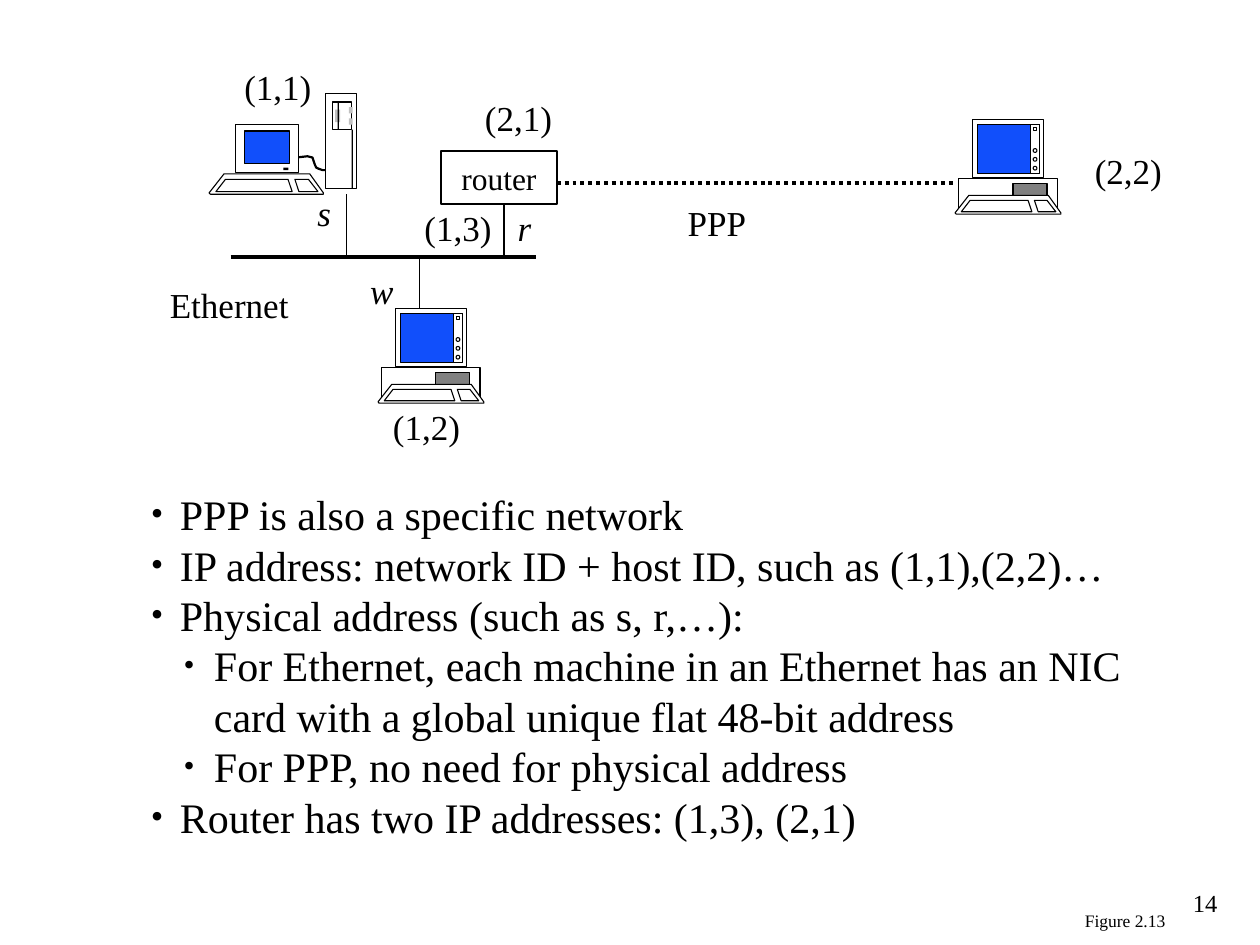
from lxml.etree import SubElement
from pptx import Presentation
from pptx.dml.color import RGBColor
from pptx.enum.dml import MSO_LINE_DASH_STYLE as Dash
from pptx.enum.shapes import MSO_CONNECTOR_TYPE as Link, MSO_SHAPE as Shape
from pptx.enum.text import MSO_ANCHOR as Anchor, PP_ALIGN as Align
from pptx.oxml.ns import qn
from pptx.util import Inches, Pt

COLORS = {"ink": "000000", "paper": "FFFFFF", "screen": "114FFB",
          "drive": "808080", "vent": "C0C0C0"}
FONT = "Times New Roman"


def rgb(name):
    return RGBColor.from_string(COLORS[name])


def write(paragraph, text, size=20, italic=False, align=Align.LEFT):
    paragraph.alignment = align
    paragraph.line_spacing = Pt(size * 1.2)
    run = paragraph.add_run()
    run.text = text
    run.font.name, run.font.size, run.font.italic = FONT, Pt(size), italic
    run.font.color.rgb = rgb("ink")


class NetworkSlide:
    """Draws network diagram elements on one slide in a shared style."""

    def __init__(self, slide):
        self.slide = slide
        self.target = slide.shapes

    def start_group(self):
        self.target = self.slide.shapes.add_group_shape().shapes

    def end_group(self):
        self.target = self.slide.shapes

    def paint(self, shape, fill, outline):
        shape.shadow.inherit = False
        if fill:
            shape.fill.solid()
            shape.fill.fore_color.rgb = rgb(fill)
        else:
            shape.fill.background()
        if outline:
            shape.line.color.rgb = rgb("ink")
            shape.line.width = Pt(outline)
        else:
            shape.line.fill.background()

    def block(self, x, y, width, height, fill="paper", outline=0.62, kind=Shape.RECTANGLE):
        shape = self.target.add_shape(kind, Inches(x), Inches(y), Inches(width), Inches(height))
        self.paint(shape, fill, outline)
        return shape

    def outline(self, points, fill="paper", width=0.62, close=True):
        start, *rest = [(Inches(x), Inches(y)) for x, y in points]
        builder = self.target.build_freeform(*start, scale=1.0)
        builder.add_line_segments(rest, close=close)
        self.paint(builder.convert_to_shape(), fill, width)

    def wire(self, x1, y1, x2, y2, width=1, dash=None):
        wire = self.target.add_connector(Link.STRAIGHT, Inches(x1), Inches(y1),
                                         Inches(x2), Inches(y2))
        wire.line.color.rgb = rgb("ink")
        wire.line.width = Pt(width)
        if dash:
            wire.line.dash_style = dash
        SubElement(wire._element.spPr, qn("a:effectLst"))

    def label(self, text, x, y, width=0.75, height=0.44, wrap=False, **style):
        box = self.target.add_textbox(Inches(x), Inches(y), Inches(width), Inches(height))
        box.text_frame.word_wrap = wrap
        write(box.text_frame.paragraphs[0], text, **style)
        return box

    def router(self, text, x, y, width, height):
        frame = self.block(x, y, width, height, outline=1).text_frame
        frame.word_wrap = False
        frame.vertical_anchor = Anchor.MIDDLE
        write(frame.paragraphs[0], text, size=18, align=Align.CENTER)

    def bullets(self, items, x, y, width, height):
        frame = self.target.add_textbox(Inches(x), Inches(y), Inches(width),
                                        Inches(height)).text_frame
        frame.word_wrap = True
        for number, (level, text) in enumerate(items):
            paragraph = frame.add_paragraph() if number else frame.paragraphs[0]
            write(paragraph, text, size=24)
            paragraph.level = level
            props = paragraph._p.get_or_add_pPr()
            props.set("marL", str(Inches((0.23, 0.5)[level])))
            props.set("indent", str(-Inches(0.24)))
            color = SubElement(props, qn("a:buClr"))
            SubElement(color, qn("a:srgbClr"), val=COLORS["ink"])
            SubElement(props, qn("a:buSzPct"), val=("85000", "75000")[level])
            SubElement(props, qn("a:buFont"), typeface=FONT)
            SubElement(props, qn("a:buChar"), char="•")

    def keyboard(self, x, y, scale=1.0):
        case = [(0.11, 0), (0.74, 0), (0.84, 0.14), (0.84, 0.15), (0.01, 0.15), (0, 0.14)]
        keys = [(0.12, 0.04), (0.58, 0.04), (0.61, 0.13), (0.05, 0.13)]
        keypad = [(0.63, 0.04), (0.73, 0.04), (0.8, 0.13), (0.66, 0.13)]
        for part in (case, keys, keypad):
            self.outline([(x + dx * scale, y + dy * scale) for dx, dy in part])

    def desktop(self, x, y):
        self.start_group()
        self.block(x + 0.03, y + 0.47, 0.78, 0.24)
        self.block(x + 0.46, y + 0.51, 0.27, 0.11, "drive")
        self.keyboard(x, y + 0.6)
        self.block(x + 0.14, y, 0.56, 0.46)
        self.block(x + 0.18, y + 0.04, 0.49, 0.39, "screen")
        self.block(x + 0.6, y + 0.04, 0.07, 0.39)
        self.block(x + 0.62, y + 0.06, 0.03, 0.03)
        for knob in range(3):
            self.block(x + 0.62, y + 0.23 + 0.07 * knob, 0.03, 0.03, kind=Shape.OVAL)
        self.end_group()

    def server(self, x, y):
        self.start_group()
        cable = [(0.69, 0.51), (0.78, 0.5), (0.82, 0.51), (0.84, 0.57), (0.85, 0.59),
                 (0.87, 0.6), (0.9, 0.61), (0.94, 0.61)]
        self.outline([(x + dx, y + dy) for dx, dy in cable], None, 1.25, close=False)
        self.keyboard(x, y + 0.64, 1.08)
        self.block(x + 0.21, y + 0.25, 0.5, 0.38)
        self.block(x + 0.28, y + 0.3, 0.36, 0.26, "screen")
        self.block(x + 0.59, y + 0.59, 0.04, 0.02, "ink", None)
        self.block(x + 0.92, y, 0.25, 0.76)
        self.block(x + 0.98, y + 0.07, 0.15, 0.22)
        self.block(x + 1.13, y + 0.29, 0.01, 0.47, "ink", None)
        self.block(x + 1, y + 0.13, 0.04, 0.1, "vent", None)
        self.block(x + 1.02, y + 0.07, 0.01, 0.22, "ink", None)
        for vent_y in (0.11, 0.2):
            self.block(x + 1.11, y + vent_y, 0.03, 0.05, "vent", None)
        self.end_group()


def main():
    deck = Presentation()
    deck.slide_width, deck.slide_height = Inches(10), Inches(7.5)
    page = NetworkSlide(deck.slides.add_slide(deck.slide_layouts[6]))

    bus_y = 2.04
    page.label("14", 9.08, 7, 0.68, 0.5, wrap=True, size=14, align=Align.RIGHT)
    page.wire(1.83, bus_y, 4.25, bus_y, 2.25)
    page.desktop(3, 2.45)
    page.server(1.66, 0.74)
    page.wire(2.75, 1.54, 2.75, bus_y)
    page.wire(3.33, bus_y, 3.33, 2.45)
    page.router("router", 3.5, 1.2, 0.92, 0.42)
    page.wire(4, 1.62, 4, bus_y)
    page.desktop(7.58, 0.95)
    page.wire(4.42, 1.45, 7.58, 1.45, 2.25, Dash.ROUND_DOT)

    for text, x, y in (("(1,1)", 1.84, 0.47), ("(1,2)", 3.02, 3.17), ("(2,1)", 3.75, 0.72),
                       ("(1,3)", 3.27, 1.59), ("(2,2)", 8.59, 1.14), ("PPP", 5.36, 1.55)):
        page.label(text, x, y)
    for host, x, y in (("s", 2.42, 1.47), ("w", 2.84, 2.09), ("r", 4.01, 1.59)):
        page.label(host, x, y, 0.4, italic=True)
    page.label("Ethernet", 1.25, 2.2, 1.5, wrap=True)
    caption = page.label("Figure 2.13", 8.51, 7.17, 0.84, 0.27, size=10, align=Align.CENTER)
    caption.text_frame.vertical_anchor = Anchor.MIDDLE

    page.bullets([
        (0, "PPP is also a specific network"),
        (0, "IP address: network ID + host ID, such as (1,1),(2,2)…"),
        (0, "Physical address (such as s, r,…):"),
        (1, "For Ethernet, each machine in an Ethernet has an NIC "
            "card with a global unique flat 48-bit address"),
        (1, "For PPP, no need for physical address"),
        (0, "Router has two IP addresses: (1,3), (2,1)"),
    ], 1.1, 3.83, 8.07, 2.9)
    deck.save("out.pptx")


if __name__ == "__main__":
    main()
